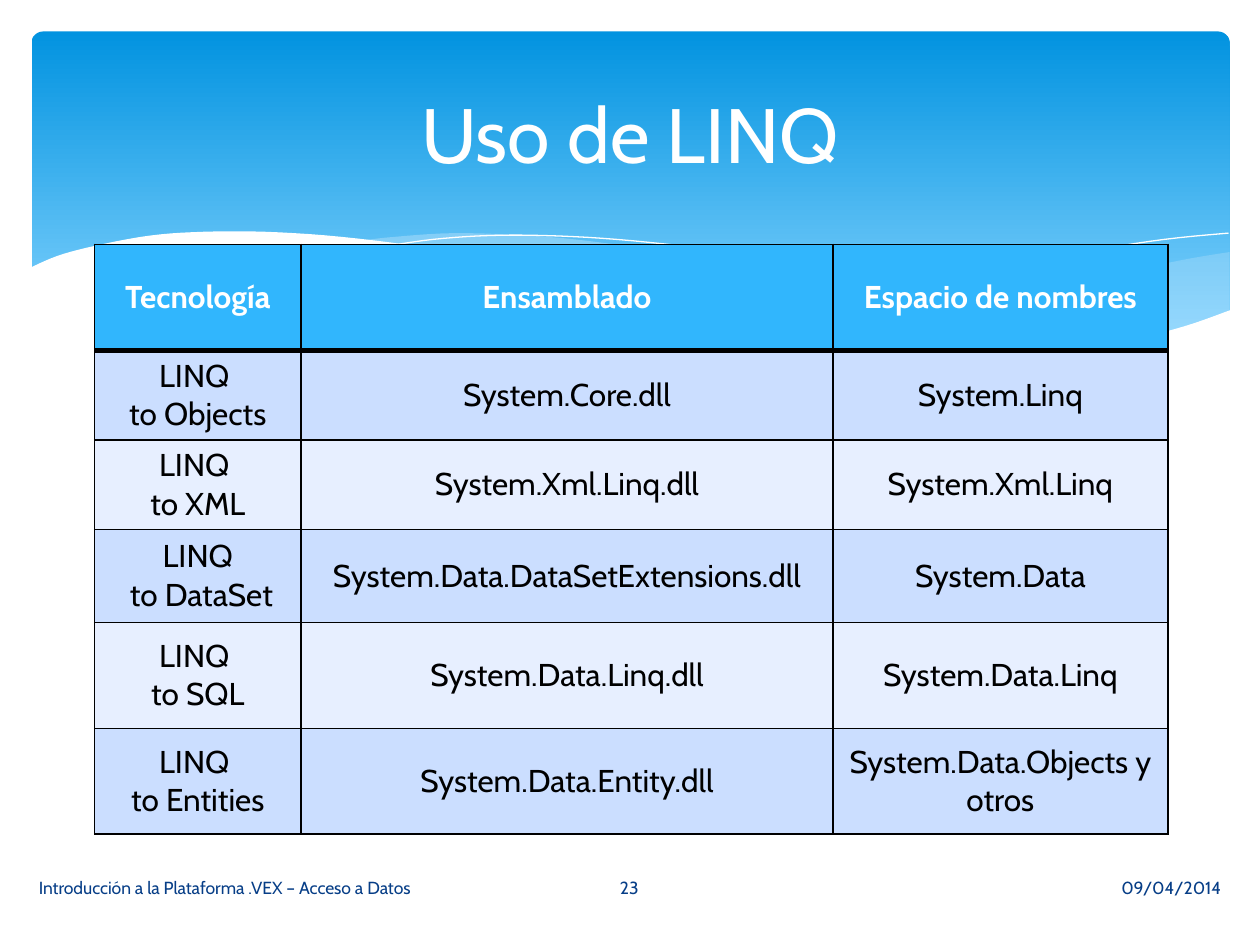
from dataclasses import dataclass
from typing import Optional

from lxml import etree
from pptx import Presentation
from pptx import util as u
from pptx.dml.color import RGBColor
from pptx.enum import shapes, text
from pptx.oxml.ns import qn

Point = tuple[float, float]
LEFT, CENTER, RIGHT = text.PP_ALIGN.LEFT, text.PP_ALIGN.CENTER, text.PP_ALIGN.RIGHT


@dataclass(frozen=True)
class Theme:
    font: str = "Cabin"
    white: str = "FFFFFF"
    black: str = "000000"
    footer: str = "073E87"
    sky_top: str = "0293E0"
    sky_bottom: str = "83D3FE"
    wave: str = "C6E7FC"
    header: str = "31B6FD"
    bands: tuple[str, str] = ("CBDEFF", "E7EFFF")
    title_size: int = 44
    table_size: int = 18
    footer_size: int = 10
    rule: int = 1
    header_rule: int = 3


@dataclass(frozen=True)
class Wave:
    curves: tuple[tuple[Point, ...], ...]
    fill: Optional[str] = None
    opacity: int = 100


@dataclass(frozen=True)
class Label:
    words: str
    box: tuple[float, float, float, float]
    size: int
    color: str
    align: text.PP_ALIGN


T = Theme()

WAVES = (
    Wave((((9.76, 2), (9.35, 2.07), (8.61, 2.23), (7.79, 2.42), (7.06, 2.57), (6.61, 2.65)),
          ((6.61, 2.65), (7.05, 2.71), (7.57, 2.76), (8.03, 2.78), (8.54, 2.76),
           (8.97, 2.7), (9.35, 2.62), (9.76, 2.47))), T.wave, 29),
    Wave((((8.93, 2.73), (8.37, 2.65), (7.75, 2.54), (7.06, 2.4), (6.29, 2.22), (5.69, 2.08),
           (5.14, 1.98), (4.65, 1.91), (4.2, 1.87), (3.61, 1.85), (3.13, 1.88), (2.86, 1.91)),
          ((2.86, 1.91), (3.42, 1.99), (4.04, 2.11), (4.91, 2.32), (5.66, 2.48), (6.34, 2.61),
           (6.95, 2.7), (7.48, 2.76), (8.07, 2.78), (8.57, 2.77), (8.93, 2.73))), T.wave, 40),
    Wave((((3.09, 1.95), (3.44, 1.9), (3.87, 1.87), (4.33, 1.87), (4.89, 1.9), (5.56, 1.97),
           (6.36, 2.08), (7.27, 2.26), (8.31, 2.51), (9.07, 2.72)),)),
    Wave((((6.13, 2.57), (6.72, 2.41), (7.48, 2.23), (8.06, 2.1), (8.66, 1.99),
           (9.24, 1.9), (9.75, 1.85)),)),
    Wave((((9.77, 2.46), (9.4, 2.59), (8.99, 2.69), (8.5, 2.75), (8.09, 2.77), (7.61, 2.75),
           (7.08, 2.7), (6.48, 2.62), (5.79, 2.5), (5.03, 2.33), (4.18, 2.13), (3.4, 1.97),
           (2.71, 1.88), (2.11, 1.84), (1.61, 1.84), (1.19, 1.87), (0.76, 1.95),
           (0.46, 2.03), (0.23, 2.13)),
          ((0.23, 3.29), (9.77, 3.29))), T.white),
)

COLUMNS = (1.64, 4.22, 2.66)
ROWS = (0.84, 0.71, 0.71, 0.74, 0.84, 0.84)
CELLS = (
    ("Tecnología", "Ensamblado", "Espacio de nombres"),
    ("LINQ \nto Objects", "System.Core.dll", "System.Linq"),
    ("LINQ \nto XML", "System.Xml.Linq.dll", "System.Xml.Linq"),
    ("LINQ\n to DataSet", "System.Data.DataSetExtensions.dll", "System.Data"),
    ("LINQ \nto SQL", "System.Data.Linq.dll", "System.Data.Linq"),
    ("LINQ \nto Entities", "System.Data.Entity.dll", "System.Data.Objects y otros"),
)

LABELS = (
    Label("Uso de LINQ", (0.5, 0.37, 9, 1.37), T.title_size, T.white, CENTER),
    Label("09/04/2014", (5.65, 6.84, 4.14, 0.4), T.footer_size, T.footer, RIGHT),
    Label("Introducción a la Plataforma .VEX – Acceso a Datos", (0.21, 6.84, 4.14, 0.4),
          T.footer_size, T.footer, LEFT),
    Label("23", (4.36, 6.84, 1.27, 0.4), T.footer_size, T.footer, CENTER),
)


def rgb(value: str) -> RGBColor:
    return RGBColor.from_string(value)


def write(tf, words: str, *, size: int, color: str, align: text.PP_ALIGN,
          bold: bool = False) -> None:
    tf.word_wrap = True
    for i, line in enumerate(words.split("\n")):
        p = tf.add_paragraph() if i else tf.paragraphs[0]
        p.alignment = align
        r = p.add_run()
        r.text = line
        r.font.name, r.font.size, r.font.bold = T.font, u.Pt(size), bold
        r.font.color.rgb = rgb(color)


def smooth(points: tuple[Point, ...], steps: int = 5) -> list[Point]:
    padded = (points[0], *points, points[-1])
    out = [points[0]]
    for a, b, c, d in zip(padded, padded[1:], padded[2:], padded[3:]):
        for k in range(1, steps + 1):
            t = k / steps
            x, y = (0.5 * (2 * q + (r - p) * t + (2 * p - 5 * q + 4 * r - s) * t**2
                           + (3 * q - p - 3 * r + s) * t**3)
                    for p, q, r, s in zip(a, b, c, d))
            out.append((x, y))
    return out


def draw_sky(s) -> None:
    sp = s.shapes.add_shape(shapes.MSO_SHAPE.ROUNDED_RECTANGLE, u.Inches(0.25),
                            u.Inches(0.25), u.Inches(9.51), u.Inches(2.7))
    sp.adjustments[0] = 0.034
    sp.shadow.inherit = False
    sp.line.fill.background()
    sp.fill.gradient()
    sp.fill.gradient_angle = 270
    stops = ((0, T.sky_top), (0.9, T.sky_bottom))
    for stop, (position, color) in zip(sp.fill.gradient_stops, stops):
        stop.position, stop.color.rgb = position, rgb(color)


def draw_wave(s, wave: Wave) -> None:
    points = [(u.Inches(x), u.Inches(y)) for curve in wave.curves for x, y in smooth(curve)]
    builder = s.shapes.build_freeform(*points[0])
    builder.add_line_segments(points[1:], close=wave.fill is not None)
    sp = builder.convert_to_shape()
    sp.shadow.inherit = False
    if wave.fill is None:
        sp.fill.background()
        sp.line.color.rgb, sp.line.width = rgb(T.white), u.Pt(0)
        return
    sp.line.fill.background()
    sp.fill.solid()
    sp.fill.fore_color.rgb = rgb(wave.fill)
    if wave.opacity < 100:
        color = sp._element.spPr.find(qn("a:solidFill"))[0]
        etree.SubElement(color, qn("a:alpha"), val=str(wave.opacity * 1000))


def draw_borders(cell, top: int, bottom: int) -> None:
    tc_pr = cell._tc.get_or_add_tcPr()
    sides = (("L", T.rule), ("R", T.rule), ("T", top), ("B", bottom))
    for i, (side, width) in enumerate(sides):
        ln = etree.Element(qn(f"a:ln{side}"), w=str(u.Pt(width)))
        fill = etree.SubElement(ln, qn("a:solidFill"))
        etree.SubElement(fill, qn("a:srgbClr"), val=T.black)
        tc_pr.insert(i, ln)


def draw_table(s) -> None:
    table = s.shapes.add_table(len(ROWS), len(COLUMNS), u.Inches(0.75), u.Inches(1.94),
                               u.Inches(sum(COLUMNS)), u.Inches(sum(ROWS))).table
    table.horz_banding = False
    for column, width in zip(table.columns, COLUMNS):
        column.width = u.Inches(width)
    for i, (row, height) in enumerate(zip(table.rows, ROWS)):
        row.height = u.Inches(height)
        header = i == 0
        for cell, words in zip(row.cells, CELLS[i]):
            cell.vertical_anchor = text.MSO_ANCHOR.MIDDLE
            cell.fill.solid()
            cell.fill.fore_color.rgb = rgb(T.header if header else T.bands[(i - 1) % 2])
            draw_borders(cell, T.header_rule if i == 1 else T.rule,
                         T.header_rule if header else T.rule)
            write(cell.text_frame, words, size=T.table_size, align=CENTER, bold=header,
                  color=T.white if header else T.black)


def draw_label(s, label: Label) -> None:
    tf = s.shapes.add_textbox(*map(u.Inches, label.box)).text_frame
    tf.vertical_anchor = text.MSO_ANCHOR.MIDDLE
    write(tf, label.words, size=label.size, color=label.color, align=label.align)


def main() -> None:
    """Build the LINQ usage slide and save it."""
    prs = Presentation()
    prs.slide_width, prs.slide_height = u.Inches(10), u.Inches(7.5)
    s = prs.slides.add_slide(prs.slide_layouts[6])
    draw_sky(s)
    for wave in WAVES:
        draw_wave(s, wave)
    draw_table(s)
    for label in LABELS:
        draw_label(s, label)
    prs.save("out.pptx")


if __name__ == "__main__":
    main()
